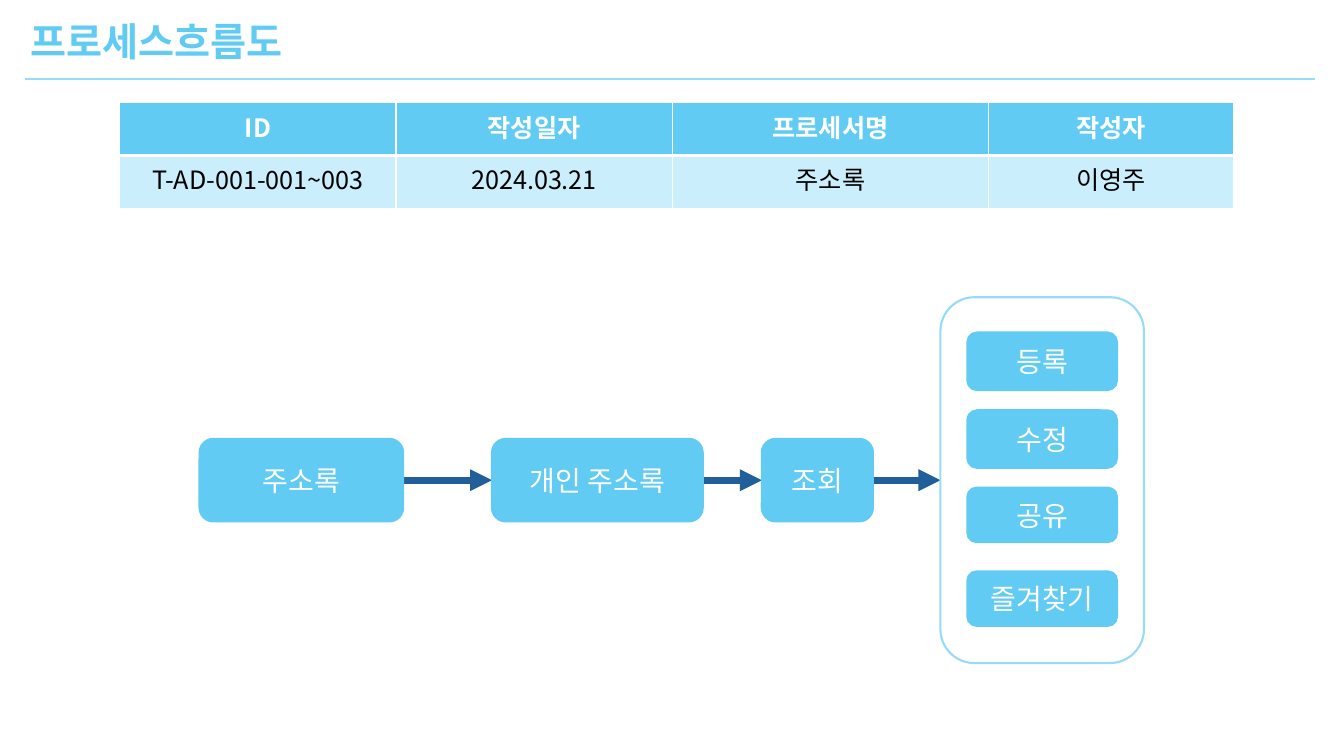
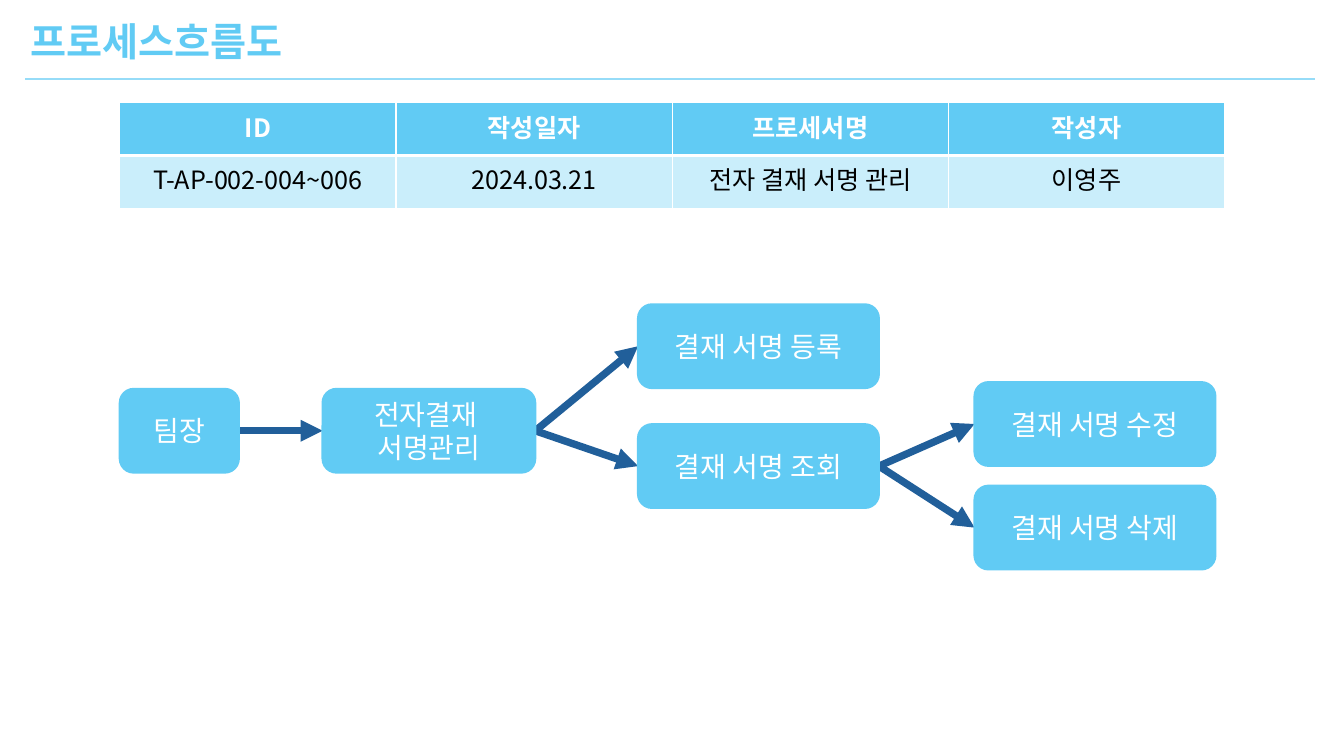
from dataclasses import dataclass

from lxml.etree import SubElement
from pptx import Presentation
from pptx.dml.color import RGBColor
from pptx.enum.shapes import MSO_CONNECTOR as Connector, MSO_SHAPE as Preset
from pptx.enum.text import MSO_ANCHOR as Anchor, MSO_AUTO_SIZE as AutoSize, PP_ALIGN as Align
from pptx.oxml import parse_xml
from pptx.oxml.ns import nsdecls, qn
from pptx.util import Cm, Pt


@dataclass(frozen=True)
class Theme:
    font: str = "Noto Sans CJK KR"
    sky: str = "61CBF4"
    rule: str = "96DCF8"
    pale: str = "CAEEFB"
    arrow: str = "215F9A"
    white: str = "FFFFFF"
    black: str = "000000"
    title_size: float = 28
    table_size: float = 18
    step_size: float = 20
    outline: float = 1.5
    arrow_width: float = 5.25
    cell_border: float = 1
    header_border: float = 3


@dataclass(frozen=True)
class Box:
    left: float
    top: float
    width: float
    height: float

    def inner(self, left, top, width, height):
        return Box(self.left + left, self.top + top, width, height)

    def lengths(self):
        return Cm(self.left), Cm(self.top), Cm(self.width), Cm(self.height)


THEME = Theme()
LEFT_SITE, RIGHT_SITE = 1, 3
HEADINGS = ("ID", "작성일자", "프로세서명", "작성자")


def rgb(color):
    return RGBColor.from_string(color)


def write(frame, text, size, color, bold=False, align=Align.LEFT):
    for index, words in enumerate(text.split("\n")):
        paragraph = frame.add_paragraph() if index else frame.paragraphs[0]
        paragraph.alignment = align
        run = paragraph.add_run()
        run.text = words
        font = run.font
        font.name, font.size, font.bold = THEME.font, Pt(size), bold
        font.color.rgb = rgb(color)
        SubElement(run._r.get_or_add_rPr(), qn("a:ea"), typeface=THEME.font)


def add_line(slide, start, end, color, width):
    line = slide.shapes.add_connector(Connector.STRAIGHT, *map(Cm, start + end))
    line.line.color.rgb = rgb(color)
    line.line.width = Pt(width)
    SubElement(line._element.spPr, qn("a:effectLst"))
    return line


def add_arrow(slide, source, target):
    arrow = add_line(slide, (0, 0), (1, 1), THEME.arrow, THEME.arrow_width)
    arrow.begin_connect(source, RIGHT_SITE)
    arrow.end_connect(target, LEFT_SITE)
    SubElement(arrow.line._get_or_add_ln(), qn("a:tailEnd"), type="triangle")
    slide.shapes._spTree.insert(2, arrow._element)


def add_rounded(slide, box, line_color):
    rounded = slide.shapes.add_shape(Preset.ROUNDED_RECTANGLE, *box.lengths())
    rounded.shadow.inherit = False
    rounded.fill.background()
    rounded.line.color.rgb = rgb(line_color)
    rounded.line.width = Pt(THEME.outline)
    return rounded


def add_step(slide, box, label):
    step = add_rounded(slide, box, THEME.sky)
    step.fill.solid()
    step.fill.fore_color.rgb = rgb(THEME.sky)
    step.text_frame.word_wrap = True
    step.text_frame.vertical_anchor = Anchor.MIDDLE
    write(step.text_frame, label, THEME.step_size, THEME.white, align=Align.CENTER)
    return step


def add_header(slide, box):
    bottom = box.top + box.height
    add_line(slide, (box.left, bottom), (box.left + box.width, bottom), THEME.rule, THEME.outline)
    title = slide.shapes.add_textbox(*box.inner(-0.13, 0, 7.49, 1.45).lengths())
    title.text_frame.word_wrap = False
    title.text_frame.auto_size = AutoSize.SHAPE_TO_FIT_TEXT
    write(title.text_frame, "프로세스흐름도", THEME.title_size, THEME.sky, bold=True)


def border_cell(cell, **widths):
    properties = cell._tc.get_or_add_tcPr()
    for position, side in enumerate("LRTB"):
        width = Pt(widths.get(side, THEME.cell_border))
        properties.insert(position, parse_xml(
            f'<a:ln{side} {nsdecls("a")} w="{width}"><a:solidFill>'
            f'<a:srgbClr val="{THEME.white}"/></a:solidFill></a:ln{side}>'))


def add_summary(slide, box, values, shares):
    summary = slide.shapes.add_table(2, len(values), *box.lengths()).table
    summary.first_row = summary.horz_banding = False
    for column, share in zip(summary.columns, shares):
        column.width = Cm(box.width * share / sum(shares))
    rows = (
        (HEADINGS, THEME.sky, THEME.white, True, "B"),
        (values, THEME.pale, THEME.black, False, "T"),
    )
    for row, (texts, fill, color, bold, thick_side) in enumerate(rows):
        for column, text in enumerate(texts):
            cell = summary.cell(row, column)
            cell.fill.solid()
            cell.fill.fore_color.rgb = rgb(fill)
            border_cell(cell, **{thick_side: THEME.header_border})
            write(cell.text_frame, text, THEME.table_size, color, bold, Align.CENTER)


def add_menu(slide, box):
    entries = (("등록", 0.89, 1.45), ("수정", 2.85, 1.45),
               ("공유", 4.8, 1.37), ("즐겨찾기", 6.91, 1.37))
    for label, top, height in entries:
        add_step(slide, box.inner(0.68, top, box.width - 1.36, height), label)
    return add_rounded(slide, box, THEME.rule)


def add_address_flow(slide, box):
    step_height, menu_width = 2.08, 5.13
    step_top = (box.height - step_height) / 2
    chain = [
        add_step(slide, box.inner(left, step_top, width, step_height), label)
        for label, left, width in (
            ("주소록", 0, 5.13), ("개인 주소록", 7.37, 5.31), ("조회", 14.17, 2.8))
    ]
    chain.append(add_menu(slide, box.inner(box.width - menu_width, 0, menu_width, box.height)))
    for source, target in zip(chain, chain[1:]):
        add_arrow(slide, source, target)


def add_signature_flow(slide, box):
    step_height, action_width = 2.11, 6.07
    action_left, result_left = 13.06, box.width - action_width
    leader, manage, register, view, edit, delete = (
        add_step(slide, box.inner(left, top, width, step_height), label)
        for label, left, top, width in (
            ("팀장", 0, 2.13, 3),
            ("전자결재 \n서명관리", 5.11, 2.13, 5.36),
            ("결재 서명 등록", action_left, 0, action_width),
            ("결재 서명 조회", action_left, 3.02, action_width),
            ("결재 서명 수정", result_left, 1.96, action_width),
            ("결재 서명 삭제", result_left, 4.57, action_width))
    )
    for source, target in ((leader, manage), (manage, register), (manage, view),
                           (view, edit), (view, delete)):
        add_arrow(slide, source, target)


def add_process_slide(deck, values, summary_width, shares, add_flow, flow_box):
    slide = deck.slides.add_slide(deck.slide_layouts[6])
    add_header(slide, Box(0.64, 0.3, 32.51, 1.68))
    add_summary(slide, Box(3.02, 2.59, summary_width, 2.66), values, shares)
    add_flow(slide, flow_box)


def main():
    deck = Presentation()
    deck.slide_width, deck.slide_height = Cm(33.87), Cm(19.05)
    add_process_slide(
        deck, ("T-AD-001-001~003", "2024.03.21", "주소록", "이영주"),
        28.07, (2.74, 2.74, 3.14, 2.43), add_address_flow, Box(5.03, 7.49, 23.8, 9.22))
    add_process_slide(
        deck, ("T-AP-002-004~006", "2024.03.21", "전자 결재 서명 관리", "이영주"),
        27.84, (1, 1, 1, 1), add_signature_flow, Box(3.02, 7.67, 27.61, 6.68))
    deck.save("out.pptx")


if __name__ == "__main__":
    main()
